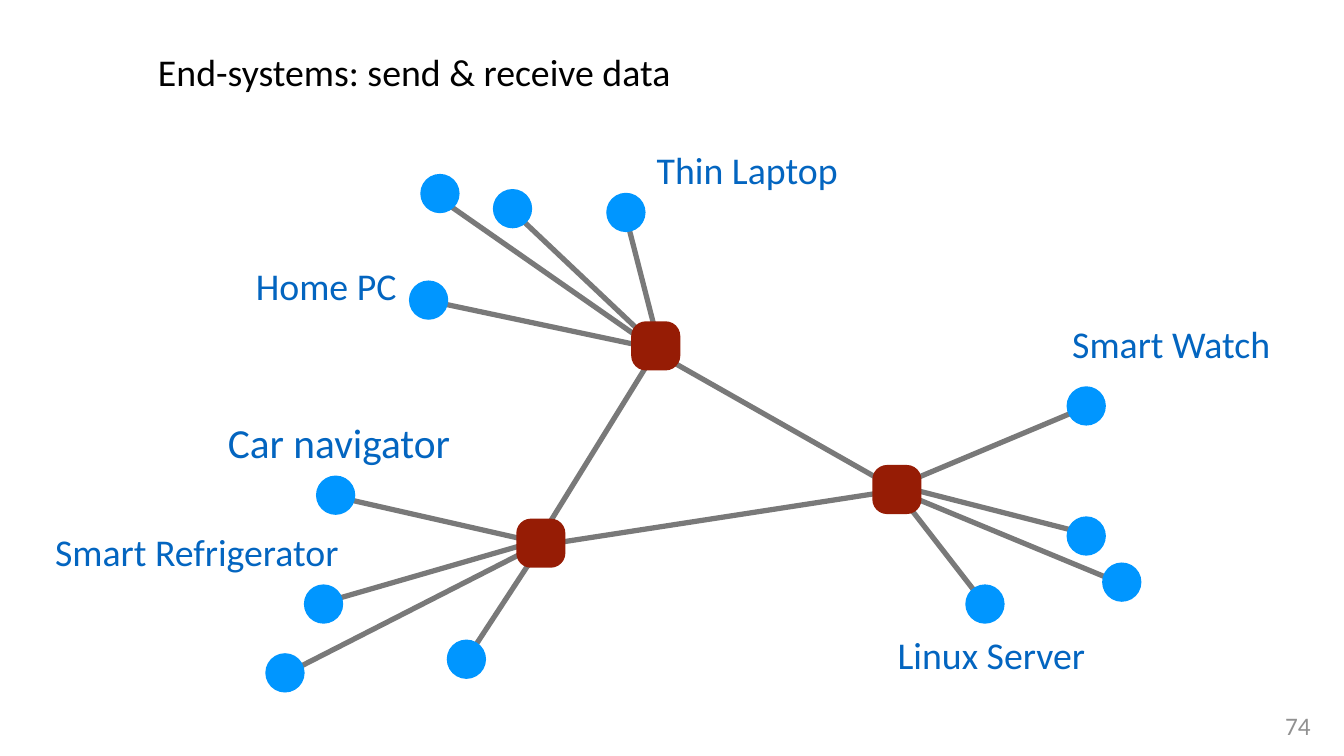
from lxml import etree
from pptx import Presentation
from pptx.dml.color import RGBColor
from pptx.enum.shapes import MSO_CONNECTOR, MSO_SHAPE
from pptx.enum.text import MSO_ANCHOR, MSO_AUTO_SIZE, PP_ALIGN
from pptx.oxml.ns import qn
from pptx.util import Inches, Pt

BLACK = RGBColor(0x00, 0x00, 0x00)
GREY = RGBColor(0x79, 0x79, 0x79)
PALE_GREY = RGBColor(0x91, 0x91, 0x91)
HOST_BLUE = RGBColor(0x00, 0x96, 0xFF)
LABEL_BLUE = RGBColor(0x03, 0x65, 0xC0)
ROUTER_RED = RGBColor(0x96, 0x1C, 0x05)

FONT = "Calibri"
HOST_SIZE = 0.52
ROUTER_SIZE = 0.65
LABEL_W, LABEL_H = 4.09, 0.71

# Links between routers: start and end points
BACKBONE = [
    ((8.6, 4.62), (11.88, 6.48)),
    ((8.69, 4.62), (7.15, 7.11)),
    ((11.9, 6.48), (7.17, 7.21)),
]

# Each cluster: router corner, hosts (centre, link start, link end) and labels
# (text, corner, size), all measured from the router corner
CLUSTERS = [
    ((8.35, 4.25),
     [((-2.68, -0.28), (-2.67, -0.27), (0.26, 0.35)),
      ((-2.53, -1.69), (-2.53, -1.62), (0.21, 0.29)),
      ((-1.57, -1.49), (-1.57, -1.46), (0.26, 0.27)),
      ((-0.07, -1.44), (-0.06, -1.35), (0.39, 0.4))],
     [("Home PC", (-6.08, -0.83), 36),
      ("Thin Laptop", (-0.51, -2.37), 36)]),
    ((6.83, 6.86),
     [((-2.39, -0.31), (-2.43, -0.3), (0.26, 0.31)),
      ((-2.55, 1.13), (-2.58, 1.12), (0.26, 0.3)),
      ((-3.06, 2.04), (-3.1, 2.08), (0.23, 0.38)),
      ((-0.66, 1.86), (-0.62, 1.8), (0.31, 0.38))],
     [("Car navigator", (-4.39, -1.37), 39.4),
      ("Smart Refrigerator", (-6.27, 0.08), 36)]),
    ((11.54, 6.15),
     [((2.83, -0.78), (2.81, -0.76), (0.26, 0.31)),
      ((2.83, 0.94), (2.79, 0.9), (0.36, 0.28)),
      ((3.3, 1.55), (3.32, 1.58), (0.3, 0.33)),
      ((1.49, 1.84), (1.47, 1.82), (0.36, 0.39))],
     [("Smart Watch", (1.91, -1.96), 36),
      ("Linux Server", (-0.47, 2.15), 36)]),
]


def set_font(p, size, color):
    p.font.name = FONT
    p.font.size = Pt(size)
    p.font.color.rgb = color


def add_link(s, start, end):
    line = s.shapes.add_connector(
        MSO_CONNECTOR.STRAIGHT, *[Inches(v) for v in (*start, *end)])
    line.line.color.rgb = GREY
    line.line.width = Pt(5)
    etree.SubElement(line._element.spPr, qn("a:effectLst"))


def add_node(s, kind, left, top, size, color):
    sp = s.shapes.add_shape(
        kind, Inches(left), Inches(top), Inches(size), Inches(size))
    sp.shadow.inherit = False
    sp.fill.solid()
    sp.fill.fore_color.rgb = color
    sp.line.fill.background()
    return sp


def add_text(s, text, left, top, width, height, size, color):
    sp = s.shapes.add_textbox(
        Inches(left), Inches(top), Inches(width), Inches(height))
    tf = sp.text_frame
    tf.word_wrap = True
    tf.vertical_anchor = MSO_ANCHOR.MIDDLE
    tf.margin_left = tf.margin_right = 0
    p = tf.paragraphs[0]
    p.text = text
    p.alignment = PP_ALIGN.CENTER
    set_font(p, size, color)


def add_title(s, left, top, width, height):
    sp = s.shapes.title
    sp.left, sp.top = Inches(left), Inches(top)
    sp.width, sp.height = Inches(width), Inches(height)
    tf = sp.text_frame
    tf.auto_size = MSO_AUTO_SIZE.NONE
    tf.vertical_anchor = MSO_ANCHOR.MIDDLE
    tf.margin_left = Inches(0.35)
    tf.margin_right = tf.margin_top = tf.margin_bottom = 0
    p = tf.paragraphs[0]
    p.text = "End-systems: send & receive data"
    p.alignment = PP_ALIGN.LEFT
    set_font(p, 36, BLACK)


def add_cluster(s, left, top, hosts, labels):
    def shift(point):
        return left + point[0], top + point[1]

    # Links go behind the nodes
    for _, start, end in hosts:
        add_link(s, shift(start), shift(end))
    for centre, _, _ in hosts:
        x, y = shift(centre)
        add_node(s, MSO_SHAPE.OVAL, x - HOST_SIZE / 2, y - HOST_SIZE / 2,
                 HOST_SIZE, HOST_BLUE)
    router = add_node(s, MSO_SHAPE.ROUNDED_RECTANGLE, left, top,
                      ROUTER_SIZE, ROUTER_RED)
    router.adjustments[0] = 0.3
    for text, corner, size in labels:
        add_text(s, text, *shift(corner), LABEL_W, LABEL_H, size, LABEL_BLUE)


def main():
    prs = Presentation()
    prs.slide_width, prs.slide_height = Inches(17.78), Inches(10)
    s = prs.slides.add_slide(prs.slide_layouts[5])
    add_title(s, 1.74, 0, 14.31, 1.9)

    # Network
    for start, end in BACKBONE:
        add_link(s, start, end)
    for corner, hosts, labels in CLUSTERS:
        add_cluster(s, *corner, hosts, labels)

    # Page number
    add_text(s, "74", 16.94, 9.34, 0.46, 0.5, 24, PALE_GREY)
    prs.save("out.pptx")


if __name__ == "__main__":
    main()
